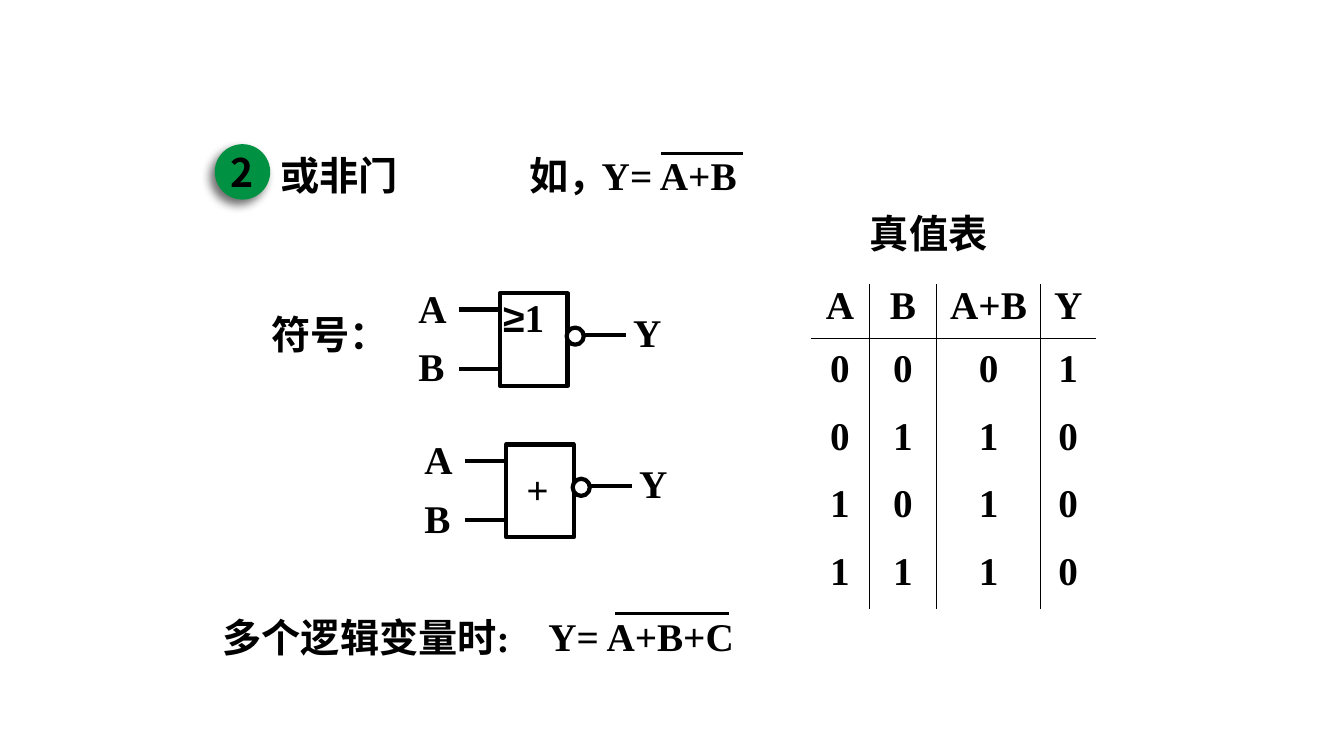
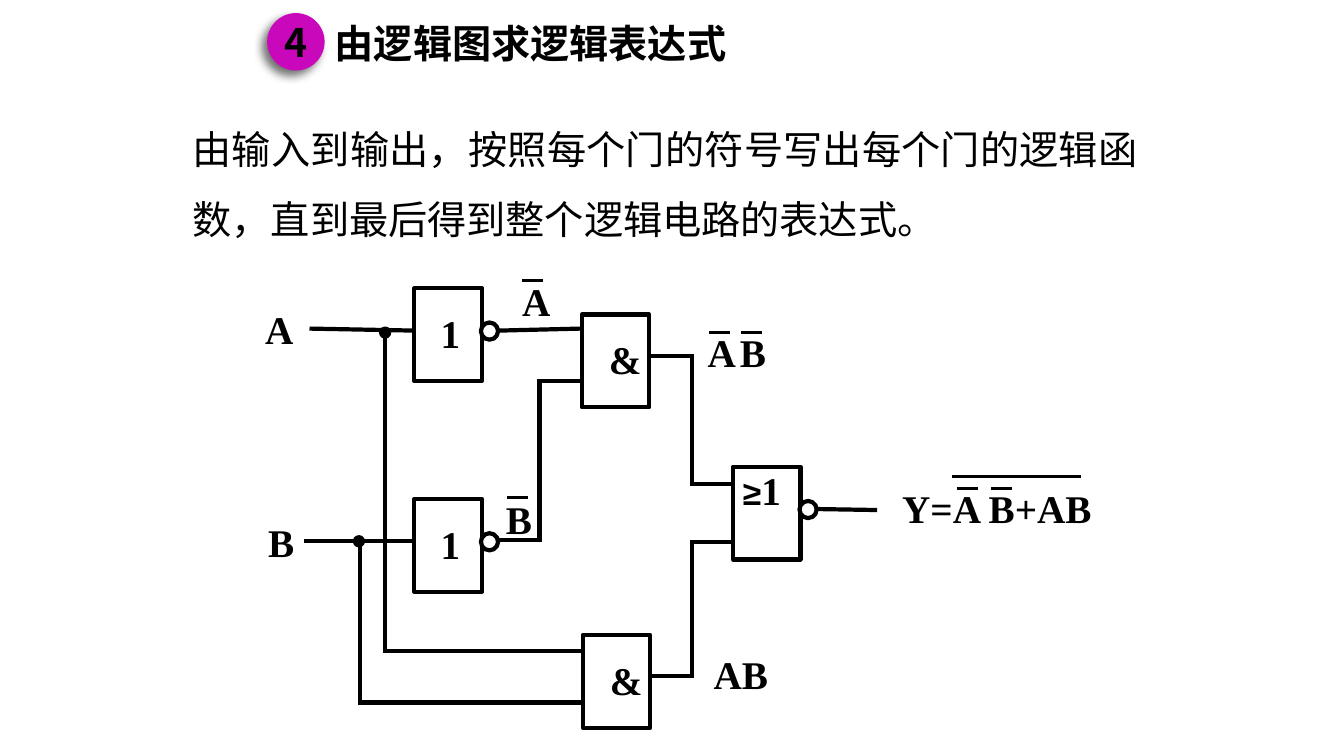
"""Build two slides on logic gates: the NOR gate and reading a circuit."""
from dataclasses import dataclass
from itertools import pairwise

from lxml import etree
from pptx import Presentation
from pptx import util as u
from pptx.dml.color import RGBColor
from pptx.enum import shapes, text
from pptx.oxml import parse_xml
from pptx.oxml.ns import nsdecls, qn

SCALE = 9144
BLACK, WHITE, GREEN, PINK = "000000", "FFFFFF", "009242", "C808BA"
TIMES, SANS = "Times New Roman", "Noto Sans CJK SC"
SIZE, THICK, BAR = 28, 3, 2.25
GATE_W, GATE_H, RING = 67, 92, 17
LEFT, MID = text.PP_ALIGN.LEFT, text.PP_ALIGN.CENTER
TOP, CORE = text.MSO_ANCHOR.TOP, text.MSO_ANCHOR.MIDDLE
RECT, OVAL = shapes.MSO_SHAPE.RECTANGLE, shapes.MSO_SHAPE.OVAL


@dataclass
class Label:
    x: int
    y: int
    words: str
    w: int = 75


@dataclass
class Gate:
    x: int
    y: int
    sign: str
    dx: int
    dy: int = 21
    ring: bool = True
    small: int = SIZE


def px(n: int) -> u.Emu:
    """Turn px into EMU."""
    return u.Emu(n * SCALE)


def tint(code: str) -> RGBColor:
    """Turn a hex string into a colour."""
    return RGBColor.from_string(code)


def put(item, **vals) -> None:
    """Set each named value on an item."""
    for key, val in vals.items():
        setattr(item, key, val)


def place(item, x: int, y: int, w: int, h: int) -> None:
    """Move and size an item."""
    put(item, left=px(x), top=px(y), width=px(w), height=px(h))


def write(frame, words: str, face: str = TIMES, bold: bool = True,
          align=LEFT, small: int = SIZE) -> None:
    """Write one line, with the math sign in its own font."""
    para = frame.paragraphs[0]
    put(para, alignment=align, space_before=u.Pt(0))
    head, sign, tail = words.partition("≥")
    for part, name, size in ((head, face, SIZE), (sign, "Arial", small), (tail, face, SIZE)):
        if part:
            run = para.add_run()
            run.text = part
            put(run.font, name=name, size=u.Pt(size), bold=bold)
            run.font.color.rgb = tint(BLACK)


def setup(frame, left: int = 10, top: int = 5, right: int = 10, anchor=TOP) -> None:
    """Set the insets, wrap and anchor of a text frame."""
    put(frame, word_wrap=True, auto_size=text.MSO_AUTO_SIZE.NONE,
        vertical_anchor=anchor, margin_left=px(left), margin_top=px(top),
        margin_right=px(right), margin_bottom=px(min(top, 5)))


def label(slide, item: Label) -> None:
    """Draw a text label."""
    frame = slide.shapes.add_textbox(px(item.x), px(item.y), px(item.w), px(57)).text_frame
    setup(frame)
    write(frame, item.words)


def wire(slide, *points: tuple[int, int], width: float = THICK) -> None:
    """Join points with straight lines."""
    for start, end in pairwise(points):
        line = slide.shapes.add_connector(
            shapes.MSO_CONNECTOR.STRAIGHT, *map(px, start + end))
        line.line.color.rgb = tint(BLACK)
        line.line.width = u.Pt(width)
        props = line._element.spPr
        if len(points) > 2:
            props.find(qn("a:ln")).set("cap", "sq")
        etree.SubElement(props, qn("a:effectLst"))


def over(slide, x: int, y: int, w: int = 21, width: float = BAR) -> None:
    """Draw a negation bar."""
    wire(slide, (x, y), (x + w, y), width=width)


def solid(slide, kind, x: int, y: int, w: int, h: int, fill: str = WHITE):
    """Draw an outlined shape."""
    form = slide.shapes.add_shape(kind, px(x), px(y), px(w), px(h))
    form.shadow.inherit = False
    form.fill.solid()
    form.fill.fore_color.rgb = tint(fill)
    form.line.color.rgb = tint(BLACK)
    form.line.width = u.Pt(THICK)
    return form


def gate(slide, item: Gate) -> None:
    """Draw a gate, its sign and its ring."""
    box = solid(slide, RECT, item.x, item.y, GATE_W, GATE_H)
    setup(box.text_frame, item.dx, item.dy, 0)
    write(box.text_frame, item.sign, small=item.small)
    if item.ring:
        solid(slide, OVAL, item.x + 66, item.y + 34, RING, RING)


def badge(slide, x: int, y: int, size: int, digit: str, fill: str) -> None:
    """Draw a numbered disc with a soft shadow."""
    disc = solid(slide, OVAL, x, y, size, size, fill)
    disc.line.fill.background()
    props = disc._element.spPr
    props.remove(props.find(qn("a:effectLst")))
    props.append(parse_xml(
        f'<a:effectLst {nsdecls("a")}><a:outerShdw blurRad="{u.Pt(7)}" dist="{u.Pt(5)}" '
        f'dir="8100000" rotWithShape="0"><a:srgbClr val="{BLACK}"><a:alpha val="57000"/>'
        '</a:srgbClr></a:outerShdw></a:effectLst>'))
    setup(disc.text_frame, 0, 0, 0, CORE)
    write(disc.text_frame, digit, SANS, align=MID)


def title(slide, x: int, y: int, w: int, words: str, face: str = TIMES) -> None:
    """Place and write the title."""
    head = slide.shapes.title
    place(head, x, y, w, 57)
    setup(head.text_frame)
    write(head.text_frame, words, face)


def edge(props, side: str, shown: bool) -> None:
    """Add one cell border."""
    ink = f'<a:solidFill><a:srgbClr val="{BLACK}"/></a:solidFill>' if shown else "<a:noFill/>"
    props.append(parse_xml(f'<a:{side} {nsdecls("a")} w="{u.Pt(0.75)}">{ink}</a:{side}>'))


def truth(slide) -> None:
    """Draw the truth table."""
    rows = ("A", "B", "A+B", "Y"), "0001", "0110", "1010", "1110"
    cols, highs = (58, 67, 103, 55), (54, 67, 67, 67, 67)
    grid = slide.shapes.add_table(
        len(rows), len(cols), px(804), px(282), px(sum(cols)), px(sum(highs))).table
    put(grid, first_row=False, horz_banding=False)
    for col, wide in zip(grid.columns, cols):
        col.width = px(wide)
    for r, (row, high) in enumerate(zip(rows, highs)):
        grid.rows[r].height = px(high)
        for c, words in enumerate(row):
            cell = grid.cell(r, c)
            put(cell, margin_left=0, margin_right=0, margin_top=0,
                margin_bottom=px(6), vertical_anchor=CORE if r else TOP)
            props = cell._tc.get_or_add_tcPr()
            for side, shown in (("lnL", c > 0), ("lnR", c < 3), ("lnT", r == 1), ("lnB", r == 0)):
                edge(props, side, shown)
            cell.fill.background()
            write(cell.text_frame, words, align=MID)


def nor(deck) -> None:
    """Build the NOR gate slide."""
    slide = deck.slides.add_slide(deck.slide_layouts[5])
    title(slide, 268, 145, 152, "或非门")
    badge(slide, 213, 143, 55, "2", GREEN)
    truth(slide)
    for item in (Label(853, 203, "真值表", 150), Label(211, 604, "多个逻辑变量时:", 371),
                 Label(534, 603, "Y= A+B+C", 220), Label(259, 303, "符号：", 150),
                 Label(515, 145, "如，", 110), Label(587, 145, "Y= A+B", 170)):
        label(slide, item)
    over(slide, 610, 609, 113)
    over(slide, 656, 152, 81, 2)
    for item in Gate(496, 291, "≥1", 3, 0), Gate(502, 441, "+", 20):
        x, y = item.x, item.y
        for dy in 16, 75:
            wire(slide, (x - 41, y + dy), (x, y + dy))
        wire(slide, (x + 84, y + 41), (x + 125, y + 41))
        gate(slide, item)
        for dx, dy, name in (-91, -14, "A"), (-91, 44, "B"), (122, 10, "Y"):
            label(slide, Label(x + dx, y + dy, name))


def trace(deck) -> None:
    """Build the circuit reading slide."""
    slide = deck.slides.add_slide(deck.slide_layouts[1])
    title(slide, 322, 14, 440, "由逻辑图求逻辑表达式", "Calibri")
    badge(slide, 265, 13, 57, "4", PINK)
    body = slide.placeholders[1]
    place(body, 181, 99, 958, 143)
    setup(body.text_frame, anchor=CORE)
    para = body.text_frame.paragraphs[0]
    props = para._p.get_or_add_pPr()
    put_none = {"marL": "0", "indent": "0"}
    for key, val in put_none.items():
        props.set(key, val)
    etree.SubElement(props, qn("a:buNone"))
    write(body.text_frame, "由输入到输出，按照每个门的符号写出每个门的逻辑函数，"
          "直到最后得到整个逻辑电路的表达式。", bold=False, align=text.PP_ALIGN.JUSTIFY)
    para.line_spacing = 1.5
    for points in (((307, 326), (412, 328)), ((302, 537), (411, 537)),
                   ((494, 328), (576, 326)), ((810, 505), (870, 506)),
                   ((494, 536), (535, 536), (535, 378), (577, 378)),
                   ((382, 328), (382, 646), (578, 646)),
                   ((357, 537), (357, 697), (578, 697)),
                   ((644, 353), (686, 353), (686, 480), (727, 480)),
                   ((644, 671), (686, 671), (686, 538), (727, 538))):
        wire(slide, *points)
    for item in (Gate(411, 286, "1", 26), Gate(411, 495, "1", 26),
                 Gate(577, 312, "&", 27, ring=False), Gate(578, 630, "&", 27, ring=False),
                 Gate(727, 463, "≥1", 10, 0, small=24)):
        gate(slide, item)
    for x, y in (378, 326), (352, 533):
        solid(slide, OVAL, x, y, 8, 8, BLACK)
    for item in (Label(253, 298, "A"), Label(256, 509, "B"), Label(698, 640, "AB", 90),
                 Label(508, 270, "A"), Label(492, 486, "B"), Label(692, 321, "A"),
                 Label(724, 321, "B"), Label(885, 476, "Y=A B+AB", 237)):
        label(slide, item)
    for x, y in (518, 278), (503, 494), (703, 330), (735, 330), (949, 485), (983, 485):
        over(slide, x, y)
    over(slide, 944, 473, 128)


def main() -> None:
    """Build and save the deck."""
    deck = Presentation()
    put(deck, slide_width=px(1333), slide_height=px(750))
    nor(deck)
    trace(deck)
    deck.save("out.pptx")


if __name__ == "__main__":
    main()
